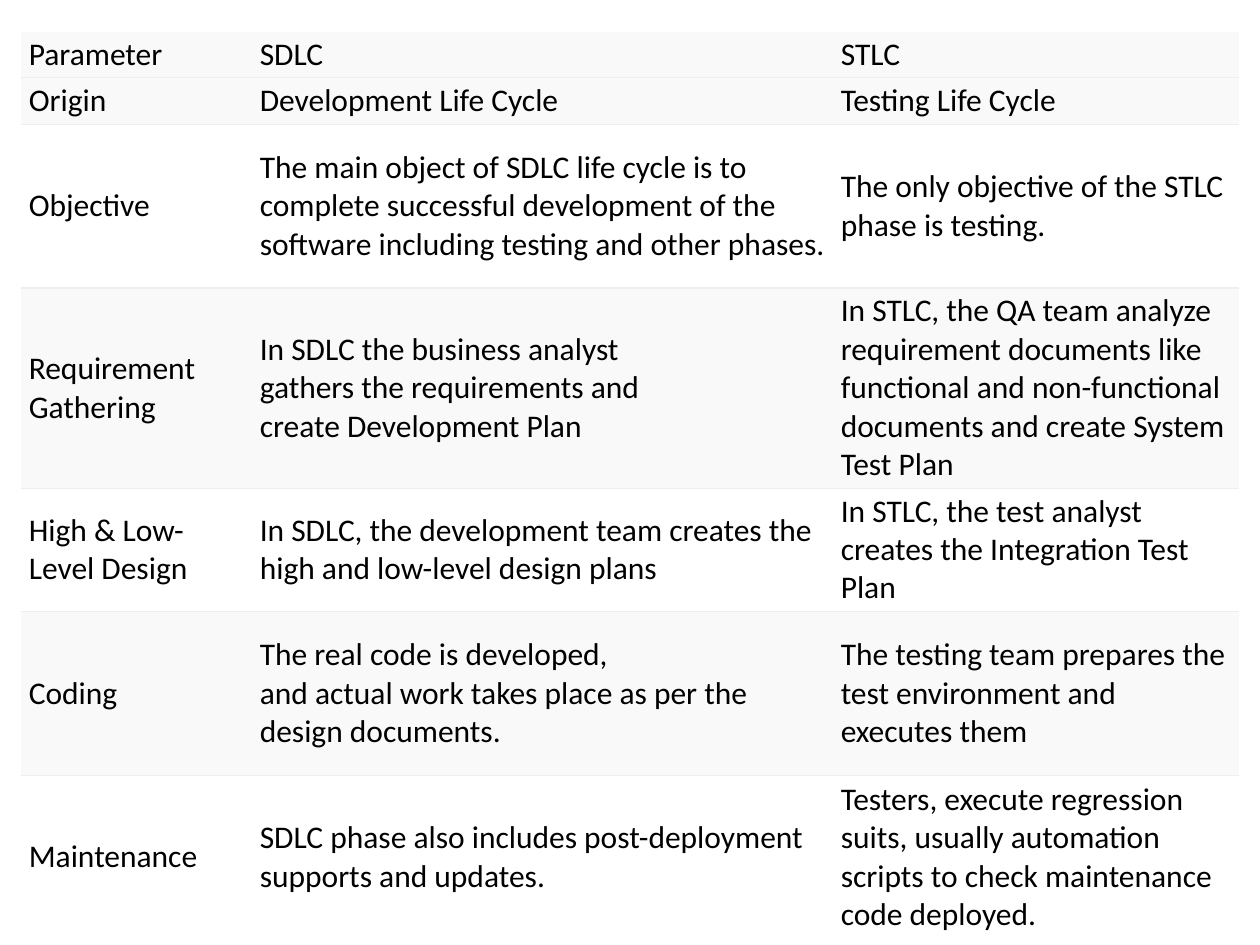
from lxml import etree
from pptx import Presentation
from pptx import util as u
from pptx.dml import color
from pptx.enum import text
from pptx.oxml import ns

COLORS = {"ink": "000000", "shaded": "F9F9F9", "plain": "FFFFFF", "rule": "EEEEEE"}
FONT = "Calibri"
COLUMN_WIDTHS = [132, 332, 232]
ROW_HEIGHTS = [24, 24, 93.6, 111.6, 58.3, 93.6, 93.6]
COMPARISON = [
    ("Parameter", "SDLC", "STLC"),
    ("Origin", "Development Life Cycle", "Testing Life Cycle"),
    ("Objective",
     "The main object of SDLC life cycle is to complete successful development "
     "of the software including testing and other phases.",
     "The only objective of the STLC phase is testing."),
    ("Requirement Gathering",
     "In SDLC the business analyst\ngathers the requirements and\ncreate Development Plan",
     "In STLC, the QA team analyze requirement documents like functional and "
     "non-functional documents and create System Test Plan"),
    ("High & Low-Level Design",
     "In SDLC, the development team creates the high and low-level design plans",
     "In STLC, the test analyst creates the Integration Test Plan"),
    ("Coding",
     "The real code is developed,\nand actual work takes place as per the design documents.",
     "The testing team prepares the test environment and executes them"),
    ("Maintenance",
     "SDLC phase also includes post-deployment supports and updates.",
     "Testers, execute regression suits, usually automation scripts to check "
     "maintenance code deployed."),
]


def rgb(name):
    return color.RGBColor.from_string(COLORS[name])


def set_borders(cell, ruled_sides):
    properties = cell._tc.get_or_add_tcPr()
    for side in "LRTB":
        border = etree.SubElement(properties, ns.qn(f"a:ln{side}"), w=str(u.Pt(0.75)))
        if side in ruled_sides:
            fill = etree.SubElement(border, ns.qn("a:solidFill"))
            etree.SubElement(fill, ns.qn("a:srgbClr"), val=COLORS["rule"])
        else:
            etree.SubElement(border, ns.qn("a:noFill"))


def write_cell(cell, wording):
    cell.vertical_anchor = text.MSO_ANCHOR.MIDDLE
    cell.margin_left = cell.margin_right = u.Pt(4.5)
    cell.margin_top = cell.margin_bottom = u.Pt(2.25)
    paragraph = cell.text_frame.paragraphs[0]
    for index, line in enumerate(wording.split("\n")):
        if index:
            paragraph.add_line_break()
        run = paragraph.add_run()
        run.text = line
        run.font.name = FONT
        run.font.size = u.Pt(18)
        run.font.color.rgb = rgb("ink")


def add_comparison(slide, left, top, width, height):
    table = slide.shapes.add_table(
        len(COMPARISON), len(COLUMN_WIDTHS),
        u.Pt(left), u.Pt(top), u.Pt(width), u.Pt(height)).table
    table.first_row = table.horz_banding = False
    for column, share in zip(table.columns, COLUMN_WIDTHS):
        column.width = u.Pt(width * share / sum(COLUMN_WIDTHS))
    last = len(COMPARISON) - 1
    for index, (row, wordings) in enumerate(zip(table.rows, COMPARISON)):
        row.height = u.Pt(height * ROW_HEIGHTS[index] / sum(ROW_HEIGHTS))
        shade = "shaded" if index == 0 or index % 2 else "plain"
        ruled_sides = ("T" if index > 0 else "") + ("B" if index < last else "")
        for cell, wording in zip(row.cells, wordings):
            write_cell(cell, wording)
            set_borders(cell, ruled_sides)
            cell.fill.solid()
            cell.fill.fore_color.rgb = rgb(shade)


def main():
    deck = Presentation()
    deck.slide_width, deck.slide_height = u.Pt(720), u.Pt(540)
    slide = deck.slides.add_slide(deck.slide_layouts[6])
    slide.background.fill.solid()
    slide.background.fill.fore_color.rgb = rgb("plain")
    add_comparison(slide, 12, 18, sum(COLUMN_WIDTHS), sum(ROW_HEIGHTS))
    deck.save("out.pptx")


if __name__ == "__main__":
    main()
